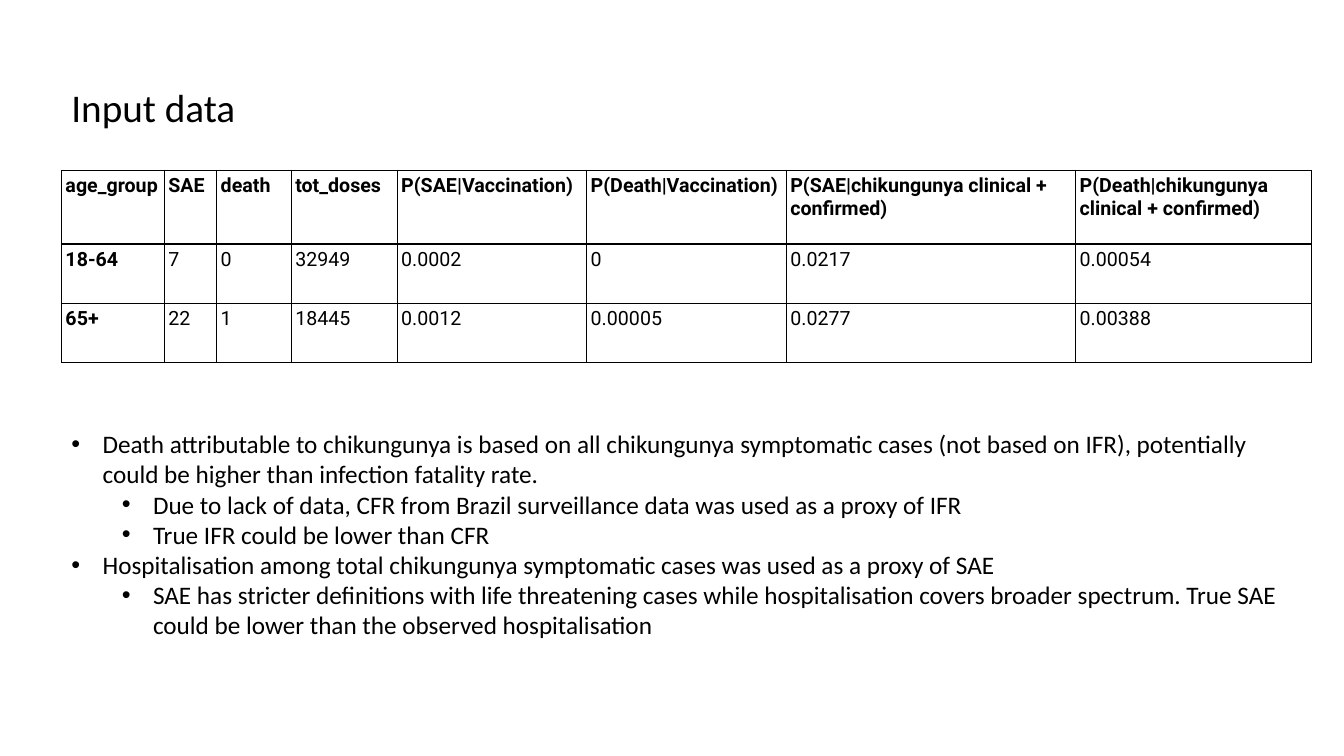
import pptx
import pptx.util
import pptx.dml.color
import pptx.enum.text
import pptx.oxml.ns
import lxml.etree

Inches = pptx.util.Inches
Pt = pptx.util.Pt
BLACK = pptx.dml.color.RGBColor(0x00, 0x00, 0x00)
WHITE = pptx.dml.color.RGBColor(0xFF, 0xFF, 0xFF)

LEFT = 0.61
COLUMN_WIDTHS = [1.02, 0.52, 0.74, 1.05, 1.88, 1.98, 2.87, 2.34]
ROW_HEIGHTS = [0.73, 0.59, 0.59]
ROWS = [
    ["age_group", "SAE", "death", "tot_doses", "P(SAE|Vaccination)", "P(Death|Vaccination)",
     "P(SAE|chikungunya clinical + confirmed)", "P(Death|chikungunya clinical + confirmed)"],
    ["18-64", "7", "0", "32949", "0.0002", "0", "0.0217", "0.00054"],
    ["65+", "22", "1", "18445", "0.0012", "0.00005", "0.0277", "0.00388"],
]
NOTES = [
    (0, "Death attributable to chikungunya is based on all chikungunya symptomatic cases "
        "(not based on IFR), potentially could be higher than infection fatality rate."),
    (1, "Due to lack of data, CFR from Brazil surveillance data was used as a proxy of IFR"),
    (1, "True IFR could be lower than CFR"),
    (0, "Hospitalisation among total chikungunya symptomatic cases was used as a proxy of SAE"),
    (1, "SAE has stricter definitions with life threatening cases while hospitalisation covers "
        "broader spectrum. True SAE could be lower than the observed hospitalisation"),
]


def add_element(parent, tag, **attributes):
    element = lxml.etree.SubElement(parent, pptx.oxml.ns.qn(tag))
    for name, value in attributes.items():
        element.set(name, str(value))
    return element


class SlideBuilder:
    def __init__(self, slide):
        self.slide = slide
        self.text_font = "Calibri"
        self.table_font = "Roboto"
        self.color = BLACK
        self.border = Pt(1)
        self.cell_margin = Inches(0.04)

    def style(self, paragraph, name, size, bold=False):
        font = paragraph.font
        font.name, font.size, font.bold = name, Pt(size), bold
        font.color.rgb = self.color

    def text_frame(self, left, top, width, height):
        box = self.slide.shapes.add_textbox(Inches(left), Inches(top), Inches(width), Inches(height))
        box.text_frame.word_wrap = True
        return box.text_frame

    def title(self, text, *place):
        frame = self.text_frame(*place)
        frame.vertical_anchor = pptx.enum.text.MSO_ANCHOR.MIDDLE
        paragraph = frame.paragraphs[0]
        paragraph.text = text
        paragraph.line_spacing = 0.9
        self.style(paragraph, self.text_font, 28)

    def bullets(self, items, *place):
        frame = self.text_frame(*place)
        for index, (level, text) in enumerate(items):
            paragraph = frame.add_paragraph() if index else frame.paragraphs[0]
            paragraph.text = text
            paragraph.level = level
            properties = paragraph._p.get_or_add_pPr()
            properties.set("marL", str(Inches(0.31 + 0.5 * level)))
            properties.set("indent", str(Inches(-0.31)))
            add_element(properties, "a:buFont", typeface="Arial")
            add_element(properties, "a:buChar", char="•")
            self.style(paragraph, self.text_font, 18)

    def table(self, rows, left, top, widths, heights):
        table = self.slide.shapes.add_table(
            len(rows), len(widths), Inches(left), Inches(top),
            Inches(sum(widths)), Inches(sum(heights))).table
        table.horz_banding = False
        for column, width in zip(table.columns, widths):
            column.width = Inches(width)
        for row, height in zip(table.rows, heights):
            row.height = Inches(height)
        for row_index, values in enumerate(rows):
            for column_index, value in enumerate(values):
                # Header row and age groups are bold
                bold = row_index == 0 or column_index == 0
                self.fill_cell(table.cell(row_index, column_index), value, bold)

    def fill_cell(self, cell, text, bold):
        cell.text = text
        cell.margin_left = cell.margin_right = self.cell_margin
        cell.margin_top = cell.margin_bottom = self.cell_margin
        self.style(cell.text_frame.paragraphs[0], self.table_font, 14, bold)
        properties = cell._tc.get_or_add_tcPr()
        for side in ("a:lnL", "a:lnR", "a:lnT", "a:lnB"):
            line = add_element(properties, side, w=self.border)
            add_element(add_element(line, "a:solidFill"), "a:srgbClr", val=self.color)
        cell.fill.solid()
        cell.fill.fore_color.rgb = WHITE


def main():
    presentation = pptx.Presentation()
    presentation.slide_width = Inches(13.33)
    presentation.slide_height = Inches(7.5)
    slide = presentation.slides.add_slide(presentation.slide_layouts[6])
    builder = SlideBuilder(slide)

    # Title
    builder.title("Input data", LEFT, 0.36, 11.5, 1.45)

    # Input values by age group
    builder.table(ROWS, LEFT, 1.69, COLUMN_WIDTHS, ROW_HEIGHTS)

    # Notes on the assumptions
    builder.bullets(NOTES, LEFT, 4.2, 12.24, 2.22)

    presentation.save("out.pptx")


if __name__ == "__main__":
    main()
